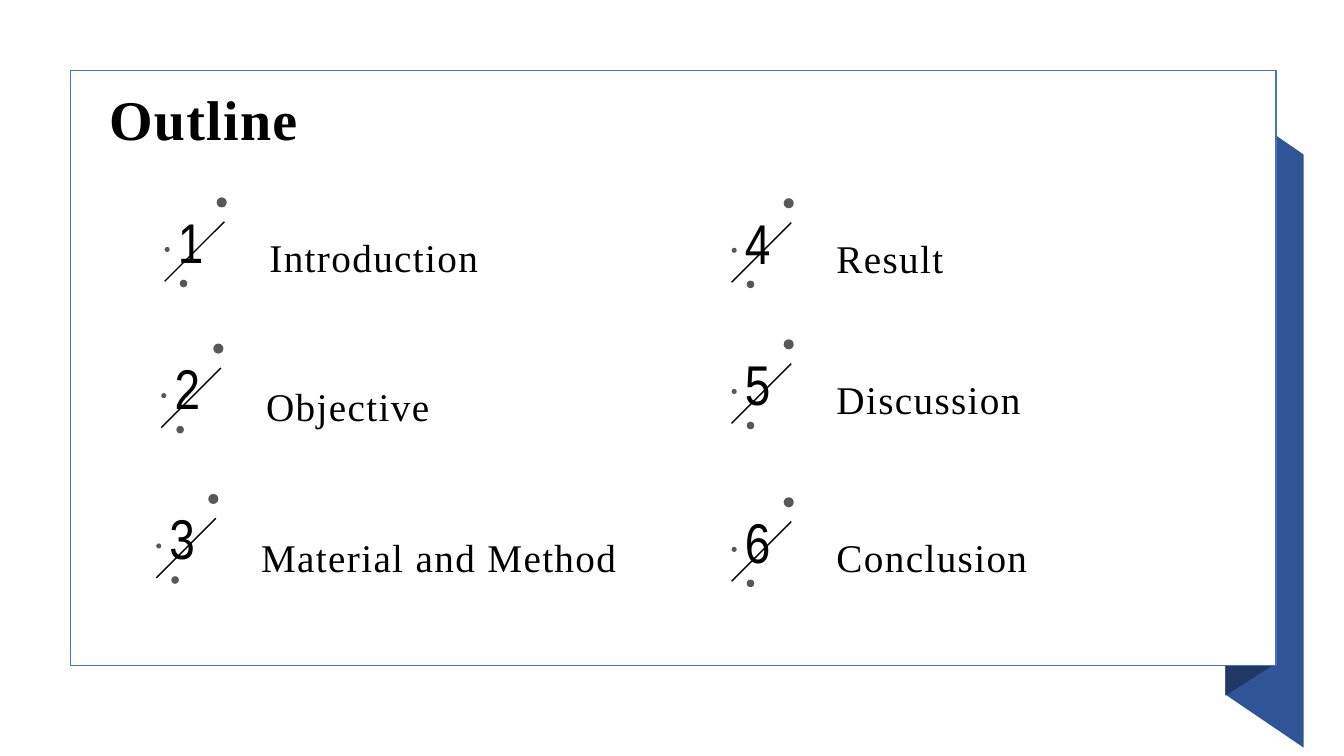
from typing import NamedTuple

from lxml.etree import SubElement
from pptx import Presentation
from pptx.dml.color import RGBColor
from pptx.enum.shapes import MSO_CONNECTOR as Connector
from pptx.enum.shapes import MSO_SHAPE as Preset
from pptx.enum.text import MSO_AUTO_SIZE as AutoSize
from pptx.oxml.ns import qn
from pptx.shapes.autoshape import Shape
from pptx.shapes.shapetree import GroupShapes, SlideShapes
from pptx.util import Inches, Pt

SLIDE_WIDTH, SLIDE_HEIGHT = Inches(13.333), Inches(7.5)
COLUMN, ROW = SLIDE_WIDTH / 16, SLIDE_HEIGHT / 9

BLACK = RGBColor(0x00, 0x00, 0x00)
WHITE = RGBColor(0xFF, 0xFF, 0xFF)
FRAME_BLUE = RGBColor(0x44, 0x72, 0xC4)
RIBBON_BLUE = RGBColor(0x2F, 0x55, 0x97)
FOLD_BLUE = RGBColor(0x20, 0x38, 0x64)
DOT_GREY = RGBColor(0x52, 0x52, 0x52)

SERIF, NARROW = "Times New Roman", "Arial Narrow"


class Area(NamedTuple):
    """A place on the grid, in columns and rows."""
    column: float
    row: float
    columns: float
    rows: float

    def shifted(self, column: float, row: float) -> "Area":
        return self._replace(column=self.column + column, row=self.row + row)

    def emu(self) -> tuple[int, int, int, int]:
        return (int(self.column * COLUMN), int(self.row * ROW),
                int(self.columns * COLUMN), int(self.rows * ROW))


class Style(NamedTuple):
    font: str
    size: int
    bold: bool = False
    spacing: int = 0


class Topic(NamedTuple):
    column: float
    row: float
    label: str
    label_drop: float = 0.31


class Panel(NamedTuple):
    corners: list[tuple[float, float]]
    color: RGBColor


TITLE_STYLE = Style(SERIF, 40, bold=True, spacing=100)
NUMBER_STYLE = Style(NARROW, 40)
LABEL_STYLE = Style(SERIF, 28, spacing=100)

FRAME = Area(0.84, 0.84, 14.35, 7.08)
TITLE = Area(1.18, 0.95, 3.01, 0.92)
PANELS = [
    Panel([(15.52, 8.9), (14.59, 8.27), (14.59, 1.2), (15.52, 1.84)], RIBBON_BLUE),
    Panel([(15.14, 7.93), (14.59, 8.28), (14.59, 1.2), (15.14, 0.84)], FOLD_BLUE),
]

# Parts of a topic, measured from the corner of its number.
NUMBER = Area(0, 0, 0.74, 0.92)
SLASH = Area(-0.04, 0.23, 0.71, 0.71)
DOTS = [
    Area(0.58, -0.06, 0.12, 0.12),
    Area(0.14, 0.92, 0.09, 0.09),
    Area(-0.04, 0.53, 0.06, 0.06),
]
LABEL = Area(1.09, 0, 5.3, 0.68)

TOPICS = [
    Topic(2, 2.41, "Introduction"),
    Topic(1.96, 4.15, "Objective", 0.34),
    Topic(1.9, 5.94, "Material and Method", 0.35),
    Topic(8.75, 2.42, "Result"),
    Topic(8.75, 4.1, "Discussion"),
    Topic(8.75, 5.98, "Conclusion"),
]


def paint(shape: Shape, color: RGBColor) -> None:
    """Fill flat, with no line and no shadow."""
    shape.shadow.inherit = False
    shape.fill.solid()
    shape.fill.fore_color.rgb = color
    shape.line.fill.background()


def add_text(shapes: SlideShapes | GroupShapes, area: Area, text: str, style: Style) -> None:
    box = shapes.add_textbox(*area.emu())
    frame = box.text_frame
    frame.word_wrap = True
    frame.auto_size = AutoSize.SHAPE_TO_FIT_TEXT
    frame.text = text
    span = frame.paragraphs[0].runs[0]
    span.font.name = style.font
    span.font.size = Pt(style.size)
    span.font.bold = style.bold
    span.font.color.rgb = BLACK
    if style.spacing:
        span._r.get_or_add_rPr().set("spc", str(style.spacing))


def add_panel(shapes: SlideShapes, panel: Panel) -> None:
    points = [(int(column * COLUMN), int(row * ROW)) for column, row in panel.corners]
    builder = shapes.build_freeform(*points[0])
    builder.add_line_segments(points[1:], close=True)
    paint(builder.convert_to_shape(), panel.color)


def add_frame(shapes: SlideShapes) -> None:
    frame = shapes.add_shape(Preset.RECTANGLE, *FRAME.emu())
    paint(frame, WHITE)
    frame.line.color.rgb = FRAME_BLUE
    frame.line.width = Pt(1)


def add_slash(shapes: GroupShapes, area: Area) -> None:
    left, top, width, height = area.emu()
    slash = shapes.add_connector(Connector.STRAIGHT, left + width, top, left, top + height)
    slash.line.color.rgb = BLACK
    slash.line.width = Pt(1)
    SubElement(slash._element.spPr, qn("a:effectLst"))


def add_dot(shapes: GroupShapes, area: Area) -> None:
    dot = shapes.add_shape(Preset.OVAL, *area.emu())
    paint(dot, DOT_GREY)
    color = dot._element.spPr.find(qn("a:solidFill")).find(qn("a:srgbClr"))
    SubElement(color, qn("a:alpha")).set("val", "96000")


def add_topic(page_shapes: SlideShapes, number: int, topic: Topic) -> None:
    shapes = page_shapes.add_group_shape().shapes
    corner = topic.column, topic.row
    add_text(shapes, NUMBER.shifted(*corner), str(number), NUMBER_STYLE)
    add_slash(shapes, SLASH.shifted(*corner))
    for dot in DOTS:
        add_dot(shapes, dot.shifted(*corner))
    label_area = LABEL.shifted(topic.column, topic.row + topic.label_drop)
    add_text(shapes, label_area, topic.label, LABEL_STYLE)


def main() -> None:
    deck = Presentation()
    deck.slide_width, deck.slide_height = SLIDE_WIDTH, SLIDE_HEIGHT
    page = deck.slides.add_slide(deck.slide_layouts[6])
    for panel in PANELS:
        add_panel(page.shapes, panel)
    add_frame(page.shapes)
    add_text(page.shapes, TITLE, "Outline", TITLE_STYLE)
    for number, topic in enumerate(TOPICS, start=1):
        add_topic(page.shapes, number, topic)
    deck.save("out.pptx")


if __name__ == "__main__":
    main()
